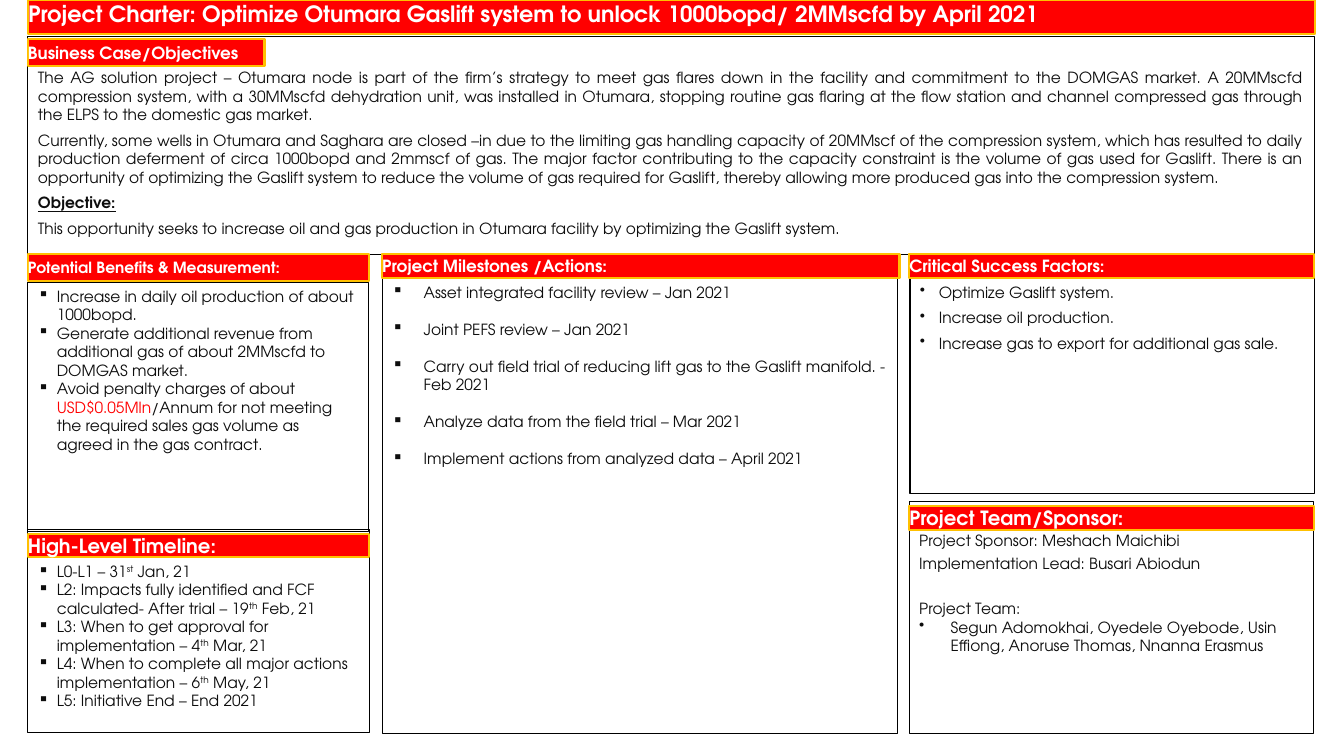
from lxml import etree
from pptx import Presentation
from pptx.dml.color import RGBColor
from pptx.enum import shapes, text
from pptx.oxml import ns
from pptx.util import Pt

RED = RGBColor(0xFF, 0x00, 0x00)
GOLD = RGBColor(0xFF, 0xC0, 0x00)
WHITE = RGBColor(0xFF, 0xFF, 0xFF)
BLACK = RGBColor(0x00, 0x00, 0x00)
INK = RGBColor(0x0D, 0x0D, 0x0D)
FONT = "TeX Gyre Adventor"
LEFT, MID, RIGHT = 20, 273, 649.5
ROW = 181.5


def paint(shape, fill, line, width):
    if fill is None:
        shape.fill.background()
    else:
        shape.fill.solid()
        shape.fill.fore_color.rgb = fill
    shape.line.color.rgb = line
    shape.line.width = Pt(width)


def bullet(para, mark, indent):
    props = para._p.get_or_add_pPr()
    props.set("marL", str(Pt(indent)))
    props.set("indent", str(-Pt(indent)))
    etree.SubElement(props, ns.qn("a:buChar")).set("char", mark)


def write(shape, lines, size=11, color=INK, bold=False, align="LEFT",
          anchor="TOP", inset=(7.2, 3.6), before=0, after=0, mark=None,
          indent=13.5):
    frame = shape.text_frame
    frame.word_wrap = True
    frame.auto_size = text.MSO_AUTO_SIZE.NONE
    frame.vertical_anchor = text.MSO_ANCHOR[anchor]
    side, top = inset
    frame.margin_left = frame.margin_right = Pt(side)
    frame.margin_top, frame.margin_bottom = Pt(top), Pt(min(top, 3.6))
    for i, line in enumerate(lines):
        para = frame.paragraphs[0] if i == 0 else frame.add_paragraph()
        para.alignment = text.PP_ALIGN[align]
        para.space_before = Pt(before if i else 0)
        para.space_after = Pt(after)
        if mark:
            bullet(para, mark, indent)
        parts = [(line, "")] if isinstance(line, str) else line
        for words, style in parts:
            run = para.add_run()
            run.text = words
            font = run.font
            font.name, font.size = FONT, Pt(size)
            font.bold = bold or style == "head"
            font.underline = style == "head"
            font.color.rgb = RED if style == "red" else color
            if style == "super":
                font._element.set("baseline", "30000")
    return frame


def rect(slide, box, fill, line, width):
    shape = slide.shapes.add_shape(shapes.MSO_SHAPE.RECTANGLE,
                                   *(Pt(n) for n in box))
    shape.shadow.inherit = False
    paint(shape, fill, line, width)
    return shape


def panel(slide, box, bar, head, size, lines, **form):
    x, y, _, _ = box
    dx, dy, w, h = bar
    body = rect(slide, box, None, BLACK, 0.75)
    write(body, lines, **form)
    strip = rect(slide, (x + dx, y + dy, w, h), RED, GOLD, 1.5)
    write(strip, [head], size=size, color=WHITE, bold=True,
          anchor="MIDDLE", inset=(0, 0))
    return body


def title(slide, box):
    head = slide.shapes.title
    head.left, head.top, head.width, head.height = (Pt(n) for n in box)
    paint(head, RED, GOLD, 1.5)
    write(head, ["Project Charter: Optimize Otumara Gaslift system to unlock "
                 "1000bopd/ 2MMscfd by April 2021"],
          size=16, color=WHITE, bold=True, inset=(0, 0))


def case(slide, box):
    panel(slide, box, (0, 2, 169, 19.5), "Business Case/Objectives", 12, [
        "The AG solution project – Otumara node is part of the firm’s strategy "
        "to meet gas flares down in the facility and commitment to the DOMGAS "
        "market. A 20MMscfd compression system, with a 30MMscfd dehydration "
        "unit, was installed in Otumara, stopping routine gas flaring at the "
        "flow station and channel compressed gas through the ELPS to the "
        "domestic gas market.",
        "Currently, some wells in Otumara and Saghara are closed –in due to "
        "the limiting gas handling capacity of 20MMscf of the compression "
        "system, which has resulted to daily production deferment of circa "
        "1000bopd and 2mmscf of gas. The major factor contributing to the "
        "capacity constraint is the volume of gas used for Gaslift. There is "
        "an opportunity of optimizing the Gaslift system to reduce the volume "
        "of gas required for Gaslift, thereby allowing more produced gas into "
        "the compression system.",
        [("Objective:", "head")],
        "This opportunity seeks to increase oil and gas production in Otumara "
        "facility by optimizing the Gaslift system.",
    ], align="JUSTIFY", after=5, inset=(7.2, 23))


def gains(slide, box):
    panel(slide, box, (0, -20, box[2], 19.5),
          "Potential Benefits & Measurement:", 11, [
              "Increase in daily oil production of about 1000bopd.",
              "Generate additional revenue from additional gas of about "
              "2MMscfd to DOMGAS market.",
              [("Avoid penalty charges of about ", ""),
               ("USD$0.05Mln", "red"),
               ("/Annum for not meeting the required sales gas volume as "
                "agreed in the gas contract.", "")],
          ], mark="▪")


def steps(slide, box):
    panel(slide, box, (0, -17, 369.5, 17), "Project Milestones /Actions:", 12, [
        "Asset integrated facility review – Jan 2021",
        "Joint PEFS review – Jan 2021",
        "Carry out field trial of reducing lift gas to the Gaslift manifold. "
        "- Feb 2021",
        "Analyze data from the field trial – Mar 2021",
        "Implement actions from analyzed data – April 2021",
    ], mark="▪", indent=22.5, before=13.2)


def factors(slide, box):
    panel(slide, box, (-0.5, -17, box[2], 17), "Critical Success Factors:", 12, [
        "Optimize Gaslift system.",
        "Increase oil production.",
        "Increase gas to export for additional gas sale.",
    ], mark="•", align="JUSTIFY", after=5)


def dates(slide, box):
    def due(lead, day, order, month):
        return [(f"{lead} – {day}", ""), (order, "super"),
                (f" {month}, 21", "")]

    panel(slide, box, (0, 3, 243.5, 16.5), "High-Level Timeline:", 14, [
        due("L0-L1", 31, "st", "Jan"),
        due("L2: Impacts fully identified and FCF calculated- After trial",
            19, "th", "Feb"),
        due("L3: When to get approval for implementation", 4, "th", "Mar"),
        due("L4: When to complete all major actions implementation",
            6, "th", "May"),
        "L5: Initiative End – End 2021",
    ], mark="▪", inset=(7.2, 23))


def team(slide, box):
    body = panel(slide, box, (0, 3, box[2], 17), "Project Team/Sponsor:", 14, [
        "Project Sponsor: Meshach Maichibi",
        "Implementation Lead: Busari Abiodun",
        "Project Team:",
        "Segun Adomokhai, Oyedele Oyebode, Usin Effiong, Anoruse Thomas, "
        "Nnanna Erasmus",
    ], before=3, inset=(7.2, 21))
    crew, names = body.text_frame.paragraphs[2:]
    crew.space_before = Pt(19.2)
    names.space_before = Pt(0)
    bullet(names, "•", 22.5)


def main():
    deck = Presentation()
    deck.slide_width, deck.slide_height = Pt(960), Pt(540)
    slide = deck.slides.add_slide(deck.slide_layouts[5])
    title(slide, (LEFT, 0, 919, 24.5))
    case(slide, (LEFT, 26, 919, 155.5))
    gains(slide, (LEFT, ROW + 20, 243.5, 178))
    steps(slide, (MID, ROW + 17, 368, 325.5))
    factors(slide, (RIGHT + 0.5, ROW + 17, 289, 154))
    dates(slide, (LEFT, 378.5, 244, 145))
    team(slide, (RIGHT, 358.5, 289, 165.5))
    deck.save("out.pptx")


if __name__ == "__main__":
    main()
